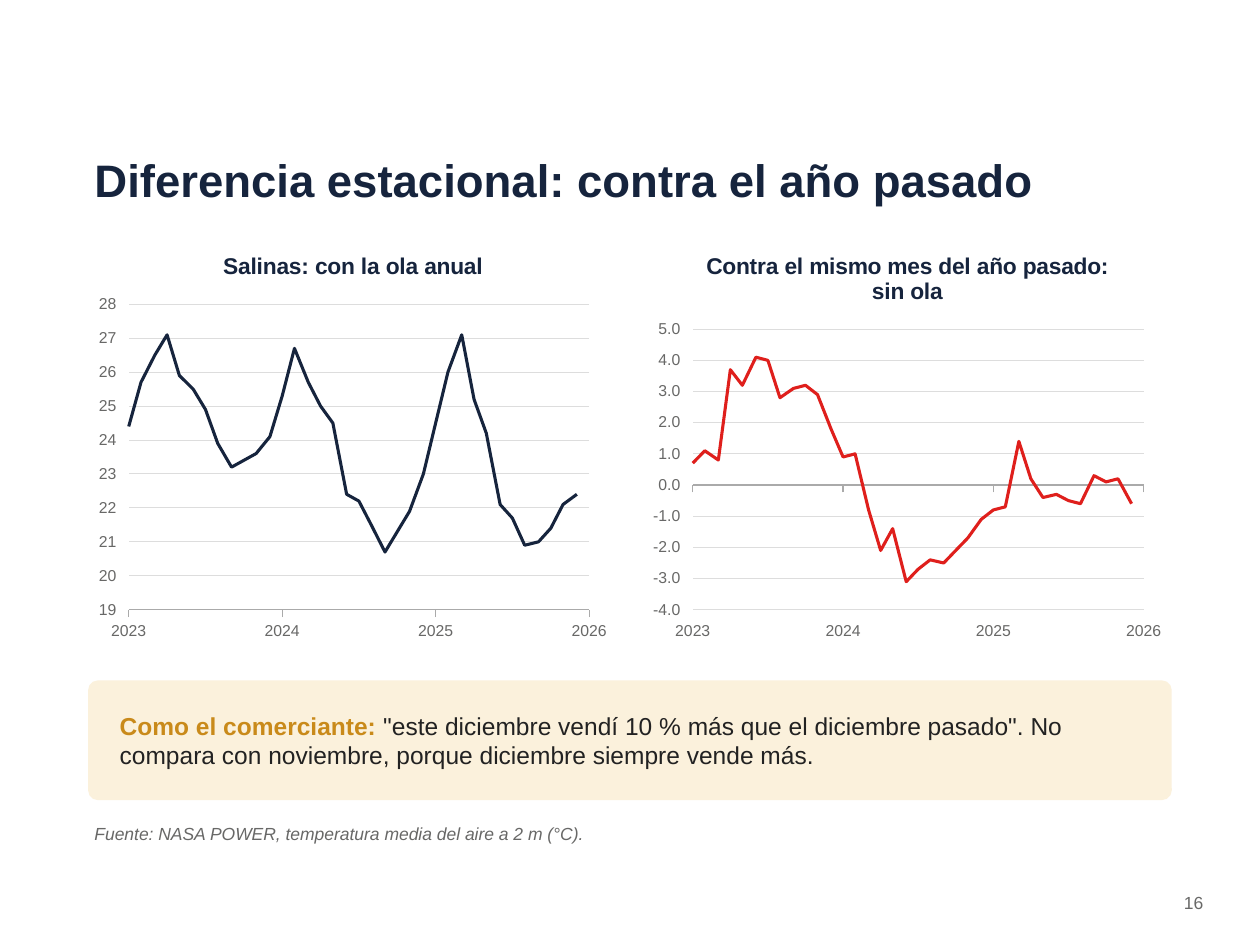
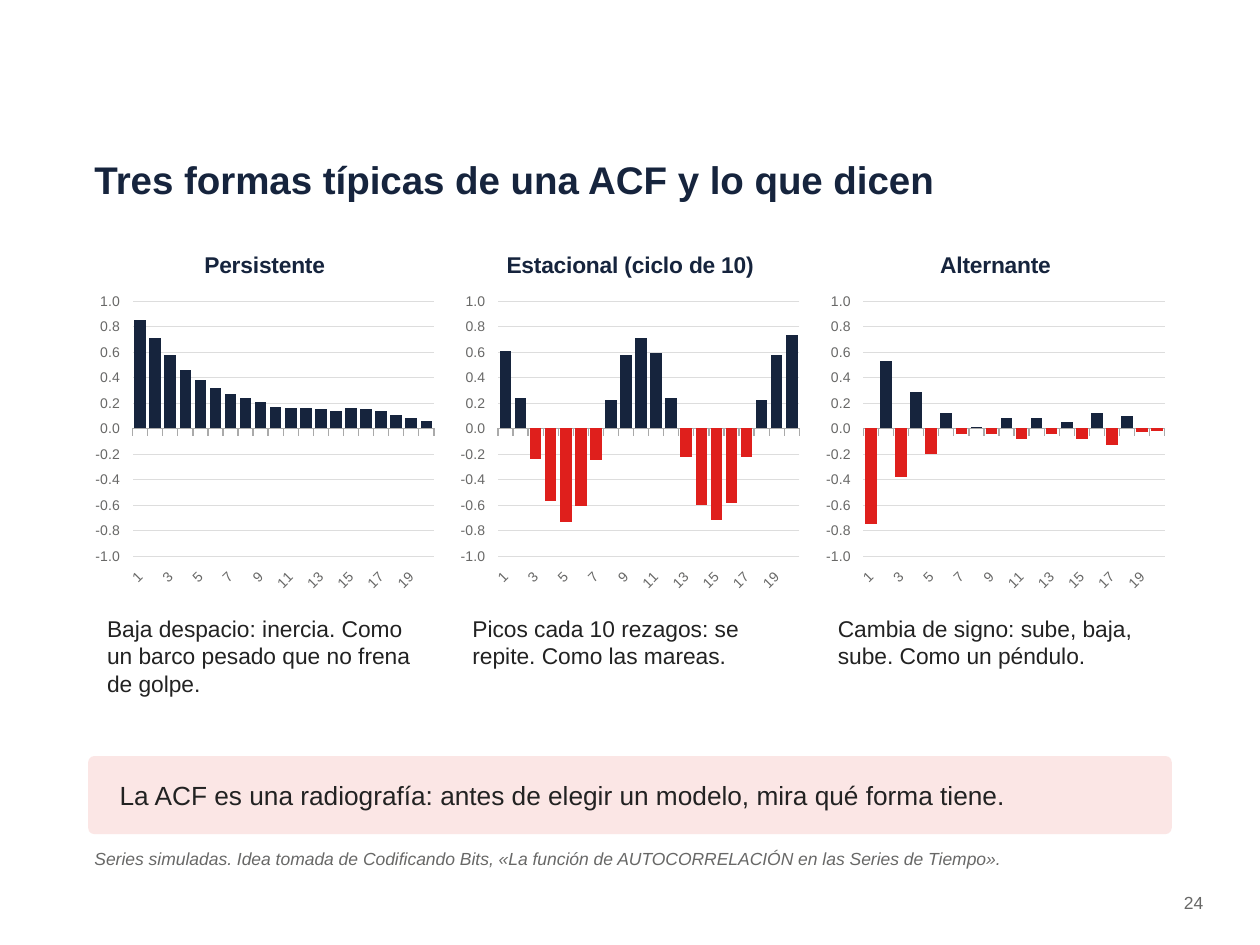
from dataclasses import dataclass

from pptx import Presentation
from pptx import util as u
from pptx.chart import data as cd
from pptx.dml.color import RGBColor
from pptx.enum import chart as ec, shapes, text

PX = 9144  # EMU per px, 100 px to the inch
FONT = "Arial"
HUES = {"navy": "16243D", "red": "DF1F1C", "gold": "C98A1A", "ink": "222222",
        "gray": "686867", "axis": "AAAAAA", "grid": "DDDDDD",
        "cream": "FBF1DC", "rose": "FBE6E5"}
LEFT, WIDE, TOP = 70, 860, 185
LAGS = [str(n) for n in range(1, 21)]


@dataclass
class Box:
    x: int
    y: int
    w: int
    h: int


@dataclass
class Curve:
    title: str
    hue: str
    form: str
    low: int | None
    vals: list[float]


@dataclass
class Bars:
    title: str
    note: str
    vals: list[float]


CURVES = [
    Curve("Salinas: con la ola anual", "navy", "0", 19,
          [24.4, 25.7, 26.5, 27.1, 25.9, 25.5, 24.9, 23.9, 23.2, 23.4, 23.6, 24.1,
           25.3, 26.7, 25.7, 25, 24.5, 22.4, 22.2, 21.5, 20.7, 21.3, 21.9, 23,
           24.5, 26, 27.1, 25.2, 24.2, 22.1, 21.7, 20.9, 21, 21.4, 22.1, 22.4]),
    Curve("Contra el mismo mes del año pasado: sin ola", "red", "0.0", None,
          [0.7, 1.1, 0.8, 3.7, 3.2, 4.1, 4, 2.8, 3.1, 3.2, 2.9, 1.8,
           0.9, 1, -0.8, -2.1, -1.4, -3.1, -2.7, -2.4, -2.5, -2.1, -1.7, -1.1,
           -0.8, -0.7, 1.4, 0.2, -0.4, -0.3, -0.5, -0.6, 0.3, 0.1, 0.2, -0.6]),
]
SHAPES = [
    Bars("Persistente",
         "Baja despacio: inercia. Como un barco pesado que no frena de golpe.",
         [0.85, 0.71, 0.58, 0.46, 0.38, 0.32, 0.27, 0.24, 0.21, 0.17,
          0.16, 0.16, 0.15, 0.14, 0.16, 0.15, 0.14, 0.11, 0.08, 0.06]),
    Bars("Estacional (ciclo de 10)",
         "Picos cada 10 rezagos: se repite. Como las mareas.",
         [0.61, 0.24, -0.24, -0.57, -0.73, -0.61, -0.25, 0.22, 0.58, 0.71,
          0.59, 0.24, -0.22, -0.6, -0.72, -0.58, -0.22, 0.22, 0.58, 0.73]),
    Bars("Alternante",
         "Cambia de signo: sube, baja, sube. Como un péndulo.",
         [-0.75, 0.53, -0.38, 0.29, -0.2, 0.12, -0.04, 0.01, -0.04, 0.08,
          -0.08, 0.08, -0.04, 0.05, -0.08, 0.12, -0.13, 0.1, -0.03, -0.02]),
]


def emu(box: Box) -> list[int]:
    return [n * PX for n in (box.x, box.y, box.w, box.h)]


def tint(name: str) -> RGBColor:
    return RGBColor.from_string(HUES[name])


def style(font, size: int, hue: str, bold: bool = False, slant: bool = False) -> None:
    font.name, font.size = FONT, u.Pt(size)
    font.bold, font.italic = bold, slant
    font.color.rgb = tint(hue)


def write(slide, box: Box, words: str, *, size: int, hue: str = "ink",
          bold: bool = False, slant: bool = False, lead: str = "",
          mid: bool = False, right: bool = False) -> None:
    """Place a text box; lead is a bold gold opening."""
    frame = slide.shapes.add_textbox(*emu(box)).text_frame
    frame.word_wrap = True
    frame.auto_size = text.MSO_AUTO_SIZE.SHAPE_TO_FIT_TEXT
    frame.margin_left = frame.margin_right = 5 * PX
    frame.margin_top = frame.margin_bottom = 3 * PX
    frame.vertical_anchor = text.MSO_ANCHOR.MIDDLE if mid else text.MSO_ANCHOR.TOP
    para = frame.paragraphs[0]
    para.space_after = u.Pt(4)
    if right:
        para.alignment = text.PP_ALIGN.RIGHT
    if lead:
        run = para.add_run()
        run.text = lead + " "
        style(run.font, size, "gold", bold=True)
    run = para.add_run()
    run.text = words
    style(run.font, size, hue, bold, slant)


# Shared parts of a slide
def start(deck, title: str, size: int, page: int):
    slide = deck.slides.add_slide(deck.slide_layouts[6])
    write(slide, Box(LEFT, 105, WIDE, 75), title, size=size, hue="navy",
          bold=True, mid=True)
    write(slide, Box(900, 705, 60, 30), str(page), size=10, hue="gray", right=True)
    return slide


def band(slide, y: int, h: int, fill: str, words: str, size: int,
         lead: str = "") -> None:
    card = slide.shapes.add_shape(shapes.MSO_SHAPE.ROUNDED_RECTANGLE,
                                  *emu(Box(LEFT, y, WIDE, h)))
    card.adjustments[0] = 0.08
    card.shadow.inherit = False
    card.fill.solid()
    card.fill.fore_color.rgb = tint(fill)
    card.line.fill.background()
    write(slide, Box(LEFT + 20, y, WIDE - 40, h), words, size=size,
          lead=lead, mid=True)


def source(slide, y: int, words: str) -> None:
    write(slide, Box(LEFT, y, WIDE, 30), words, size=10, hue="gray", slant=True)


# Charts
def plot(slide, box: Box, kind, data, title: str, size: int, form: str):
    chart = slide.shapes.add_chart(kind, *emu(box), data).chart
    chart.has_legend = False
    chart.font.name, chart.font.size = FONT, u.Pt(size)
    chart.has_title = True
    chart.chart_title.include_in_layout = False
    head = chart.chart_title.text_frame
    head.text = title
    style(head.paragraphs[0].runs[0].font, 13, "navy", bold=True)
    cat, val = chart.category_axis, chart.value_axis
    for axis in (cat, val):
        axis.major_tick_mark = ec.XL_TICK_MARK.OUTSIDE
        axis.minor_tick_mark = ec.XL_TICK_MARK.NONE
        style(axis.tick_labels.font, size, "gray")
    cat.has_major_gridlines = False
    cat.tick_label_position = ec.XL_TICK_LABEL_POSITION.LOW
    cat.format.line.color.rgb = tint("axis")
    cat.format.line.width = u.Pt(0.75)
    val.format.line.fill.background()
    val.has_major_gridlines = True
    grid = val.major_gridlines.format.line
    grid.color.rgb, grid.width = tint("grid"), u.Pt(0.5)
    val.tick_labels.number_format = form
    val.tick_labels.number_format_is_linked = False
    chart.plots[0].vary_by_categories = False
    return chart


def trace(slide, box: Box, item: Curve) -> None:
    data = cd.XyChartData()
    row = data.add_series("Series 1")
    for month, val in enumerate(item.vals):
        row.add_data_point(round(2023 + month / 12, 2), val)
    chart = plot(slide, box, ec.XL_CHART_TYPE.XY_SCATTER_LINES_NO_MARKERS, data,
                 item.title, 9, item.form)
    years = chart.category_axis
    years.minimum_scale, years.maximum_scale, years.major_unit = 2023, 2026, 1
    years.tick_labels.number_format = "0"
    years.tick_labels.number_format_is_linked = False
    if item.low is not None:
        chart.value_axis.minimum_scale = item.low
    line = chart.plots[0].series[0]
    line.smooth = False
    line.format.line.color.rgb = tint(item.hue)
    line.format.line.width = u.Pt(1.75)


def stack(slide, box: Box, item: Bars) -> None:
    data = cd.CategoryChartData()
    data.categories = LAGS
    data.add_series("Series 1", item.vals)
    chart = plot(slide, box, ec.XL_CHART_TYPE.COLUMN_CLUSTERED, data,
                 item.title, 8, "0.0")
    chart.value_axis.minimum_scale, chart.value_axis.maximum_scale = -1, 1
    chart.plots[0].gap_width = 30
    row = chart.plots[0].series[0]
    row.invert_if_negative = False
    row.format.fill.solid()
    row.format.fill.fore_color.rgb = tint("navy")
    for at, val in enumerate(item.vals):
        if val < 0:
            fill = row.points[at].format.fill
            fill.solid()
            fill.fore_color.rgb = tint("red")


# Slides
def yearly(deck) -> None:
    slide = start(deck, "Diferencia estacional: contra el año pasado", 26, 16)
    for col, item in enumerate(CURVES):
        trace(slide, Box(LEFT + col * 440, TOP, 420, 330), item)
    band(slide, 540, 95, "cream",
         '"este diciembre vendí 10 % más que el diciembre pasado". No compara '
         "con noviembre, porque diciembre siempre vende más.", 14,
         lead="Como el comerciante:")
    source(slide, 650, "Fuente: NASA POWER, temperatura media del aire a 2 m (°C).")


def forms(deck) -> None:
    slide = start(deck, "Tres formas típicas de una ACF y lo que dicen", 22, 24)
    for col, item in enumerate(SHAPES):
        x = LEFT + col * 290
        stack(slide, Box(x, TOP, 280, 290), item)
        write(slide, Box(x + 10, 485, 260, 120), item.note, size=13)
    band(slide, 600, 62, "rose",
         "La ACF es una radiografía: antes de elegir un modelo, "
         "mira qué forma tiene.", 15)
    source(slide, 670, "Series simuladas. Idea tomada de Codificando Bits, "
           "«La función de AUTOCORRELACIÓN en las Series de Tiempo».")


def main() -> None:
    deck = Presentation()
    deck.slide_width, deck.slide_height = 1000 * PX, 750 * PX
    yearly(deck)
    forms(deck)
    deck.save("out.pptx")


if __name__ == "__main__":
    main()
